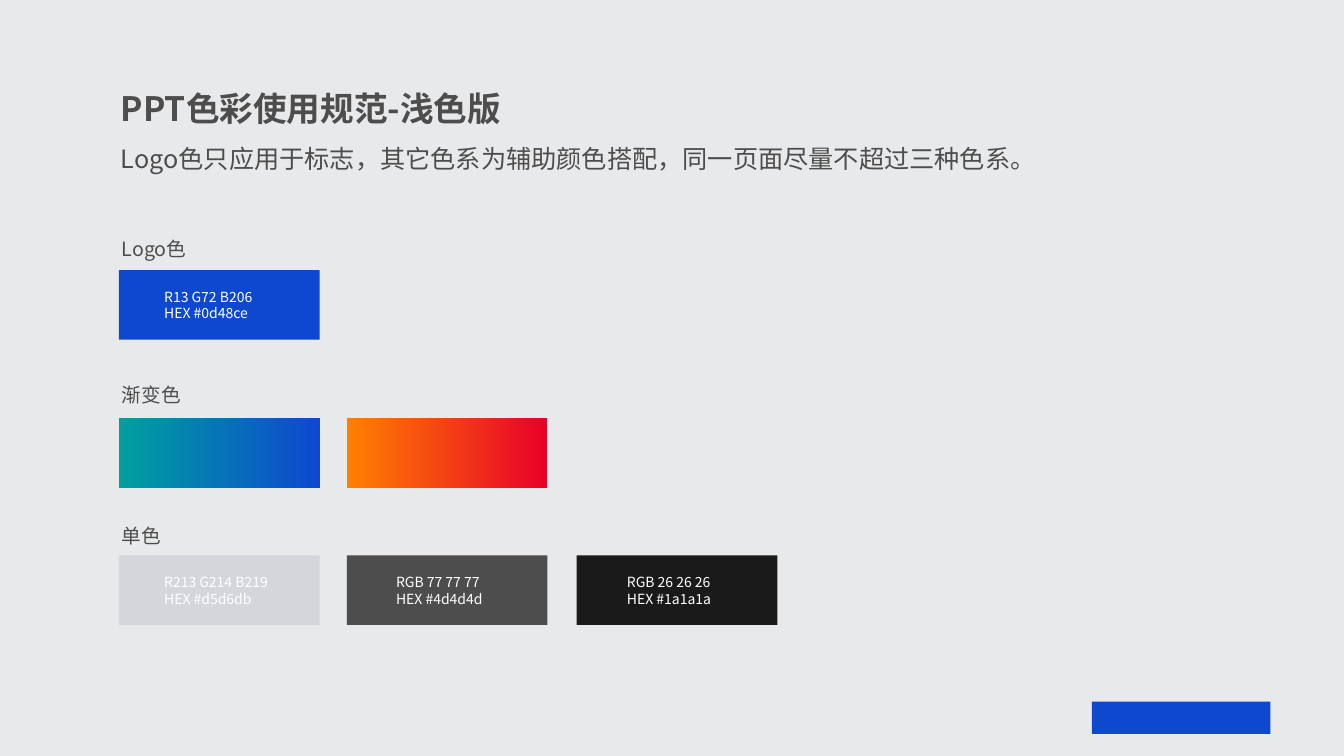
import pptx
import pptx.dml.color
import pptx.enum.shapes
import pptx.oxml
import pptx.oxml.ns
import pptx.util

FONT = "Noto Sans CJK SC"
GREY, WHITE, BLUE = "4D4D4D", "FFFFFF", "0D48CE"
# Left edges of each column: swatch, caption
COLUMNS = [(1.18, 1.53), (3.44, 3.83), (5.72, 6.12)]
SWATCH_W, SWATCH_H = 1.99, 0.69
CAPTION_DROP = 0.13
# Each row: heading, heading top, swatch top, swatches as (colours, caption lines)
ROWS = [
    ("Logo色", 2.3, 2.68, [([BLUE], ["R13 G72 B206", "HEX #0d48ce"])]),
    ("渐变色", 3.75, 4.15, [(["00A0A0", BLUE], []), (["FF8000", "E80029"], [])]),
    ("单色", 5.15, 5.51, [
        (["D5D6DB"], ["R213 G214 B219", "HEX #d5d6db"]),
        ([GREY], ["RGB 77 77 77", "HEX #4d4d4d"]),
        (["1A1A1A"], ["RGB 26 26 26", "HEX #1a1a1a"]),
    ]),
]


def rgb(value):
    return pptx.dml.color.RGBColor.from_string(value)


def inches(*lengths):
    return [pptx.util.Inches(length) for length in lengths]


def add_text(slide, box, lines, size, color=GREY, bold=False):
    tf = slide.shapes.add_textbox(*inches(*box)).text_frame
    tf.word_wrap = True
    tf.text = "\n".join(lines)
    for p in tf.paragraphs:
        for r in p.runs:
            r.font.size = pptx.util.Pt(size)
            r.font.bold = bold
            r.font.color.rgb = rgb(color)
            r.font.name = FONT
            ea = pptx.oxml.parse_xml(
                f'<a:ea {pptx.oxml.ns.nsdecls("a")} typeface="{FONT}"/>')
            r.font._element.find(pptx.oxml.ns.qn("a:latin")).addnext(ea)


def add_block(slide, box, colors):
    """Add a borderless rectangle: one colour is solid, two run left to right."""
    sp = slide.shapes.add_shape(
        pptx.enum.shapes.MSO_SHAPE.RECTANGLE, *inches(*box))
    sp.shadow.inherit = False
    sp.line.fill.background()
    if len(colors) == 1:
        sp.fill.solid()
        sp.fill.fore_color.rgb = rgb(colors[0])
    else:
        sp.fill.gradient()
        sp.fill.gradient_angle = 0
        for stop, color, position in zip(sp.fill.gradient_stops, colors, (0, 1)):
            stop.color.rgb = rgb(color)
            stop.position = position


def add_swatch_row(slide, heading, heading_top, top, swatches):
    add_text(slide, (1.11, heading_top, 1.31, 0.34), [heading], 14)
    for (left, caption_left), (colors, caption) in zip(COLUMNS, swatches):
        add_block(slide, (left, top, SWATCH_W, SWATCH_H), colors)
        if caption:
            box = (caption_left, top + CAPTION_DROP, 1.59, 0.44)
            add_text(slide, box, caption, 10, WHITE)


def main():
    prs = pptx.Presentation()
    prs.slide_width, prs.slide_height = inches(13.33, 7.5)
    slide = prs.slides.add_slide(prs.slide_layouts[6])
    slide.background.fill.solid()
    slide.background.fill.fore_color.rgb = rgb("E8E9EB")

    add_block(slide, (10.83, 6.96, 1.77, 0.32), [BLUE])
    add_text(slide, (1.1, 0.82, 4.33, 0.5), ["PPT色彩使用规范-浅色版"], 24, bold=True)
    add_text(slide, (1.1, 1.37, 9.89, 0.4),
             ["Logo色只应用于标志，其它色系为辅助颜色搭配，同一页面尽量不超过三种色系。"], 18)
    for row in ROWS:
        add_swatch_row(slide, *row)
    prs.save("out.pptx")


if __name__ == "__main__":
    main()
